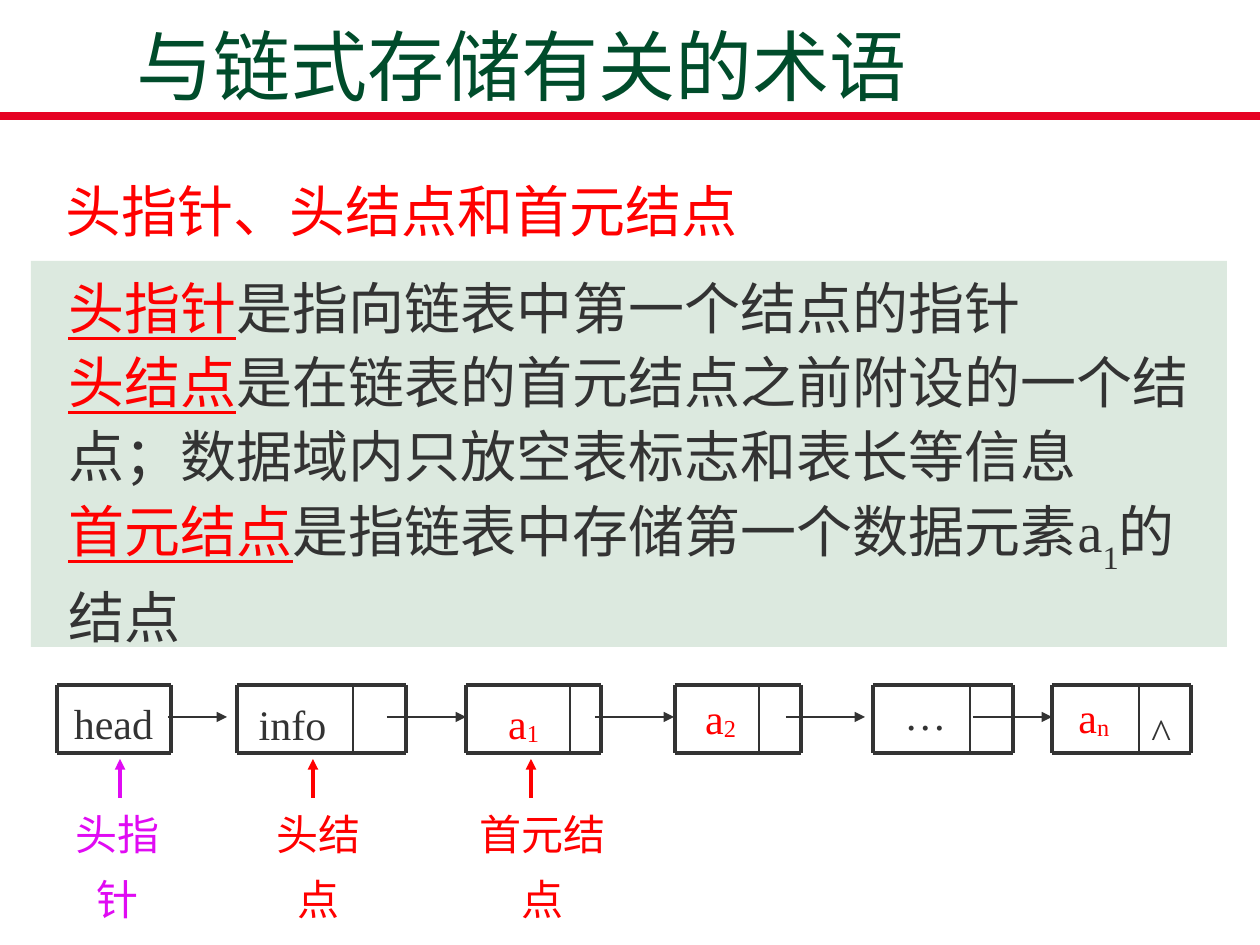
from lxml import etree
from pptx import Presentation
from pptx.dml.color import RGBColor
from pptx.enum.shapes import MSO_CONNECTOR, MSO_SHAPE
from pptx.enum.text import MSO_ANCHOR, PP_ALIGN
from pptx.oxml.ns import qn
from pptx.util import Pt

PX = 914400 / 126
WIDTH, HEIGHT = 1260, 945
FONT = "Times New Roman"
STRAIGHT, RECT = MSO_CONNECTOR.STRAIGHT, MSO_SHAPE.RECTANGLE
TOP, MIDDLE = MSO_ANCHOR.TOP, MSO_ANCHOR.MIDDLE
LEFT, CENTER = PP_ALIGN.LEFT, PP_ALIGN.CENTER
COLORS = {"title": "004C2B", "rule": "E60223", "key": "FF0000", "ink": "333333",
          "panel": "DCE9DF", "pointer": "E00BF3"}

TITLE = ("与链式存储有关的术语", (124, 9, 978, 111))
HEADING = ("头指针、头结点和首元结点", (53, 161, 1149, 78))
PANEL = (31, 261, 1196, 386)
DEFINITIONS = [
    [("头指针", "key"), ("是指向链表中第一个结点的指针", "ink")],
    [("头结点", "key"),
     ("是在链表的首元结点之前附设的一个结点；数据域内只放空表标志和表长等信息", "ink")],
    [("首元结点", "key"), ("是指链表中存储第一个数据元素a", "ink"),
     ("1", "ink", -30), ("的结点", "ink")],
]
NODE_TOP, NODE_BOTTOM, LINK_Y = 685, 753, 717
NODES = [(57, 171, None), (237, 406, 353), (466, 601, 570),
         (675, 801, 759), (873, 1013, 970), (1052, 1191, 1139)]
LINKS = [(168, 227), (387, 466), (595, 674), (786, 865), (973, 1052)]
NODE_TEXTS = [
    ([("head", "ink")], (56, 676, 115, 59), CENTER),
    ([("info", "ink")], (237, 677, 111, 68), CENTER),
    ([("a", "key"), ("1", "key", -8)], (471, 676, 105, 59), CENTER),
    ([("a", "key"), ("2", "key", -8)], (679, 671, 83, 67), CENTER),
    ([("…", "ink")], (877, 667, 97, 68), CENTER),
    ([("a", "key"), ("n", "key", -8)], (1061, 670, 66, 67), CENTER),
    ([("^", "ink")], (1139, 685, 60, 68), LEFT),
]
CALLOUT_TOP, CALLOUT_HEIGHT = 787, 74
MARK_FROM, MARK_TO = 798, 759
CALLOUTS = [("头指针", "pointer", 45, 145, 120),
            ("头结点", "key", 246, 145, 313),
            ("首元结点", "key", 450, 185, 531)]

presentation = Presentation()
presentation.slide_width = round(WIDTH * PX)
presentation.slide_height = round(HEIGHT * PX)
slide = presentation.slides.add_slide(presentation.slide_layouts[6])


def emu(lengths):
    return [round(length * PX) for length in lengths]


def rgb(name):
    return RGBColor.from_string(COLORS[name])


def add_line(ends, color, width, arrow=False):
    line = slide.shapes.add_connector(STRAIGHT, *emu(ends))
    line.line.color.rgb = rgb(color)
    line.line.width = Pt(width)
    if arrow:
        etree.SubElement(line.line._get_or_add_ln(), qn("a:tailEnd"), type="triangle")
    etree.SubElement(line._element.spPr, qn("a:effectLst"))


def write(shape, paragraphs, size, spacing=1.0, align=LEFT, anchor=TOP, indent=0, underline=None):
    frame = shape.text_frame
    frame.word_wrap = True
    frame.vertical_anchor = anchor
    for index, runs in enumerate(paragraphs):
        paragraph = frame.add_paragraph() if index else frame.paragraphs[0]
        for name, value in {"alignment": align, "line_spacing": spacing}.items():
            setattr(paragraph, name, value)
        if indent:
            properties = paragraph._p.get_or_add_pPr()
            properties.set("marL", str(round(indent * PX)))
            properties.set("indent", "0")
        for text, color, *baseline in runs:
            run = paragraph.add_run()
            run.text = text
            style = {"name": FONT, "size": Pt(size), "underline": color == underline}
            for name, value in style.items():
                setattr(run.font, name, value)
            run.font.color.rgb = rgb(color)
            if baseline:
                run.font._element.set("baseline", str(baseline[0] * 1000))


def add_text(runs, box, size, **layout):
    write(slide.shapes.add_textbox(*emu(box)), [runs], size, **layout)


add_line((0, 116, WIDTH, 116), "rule", 4.5)
title, title_box = TITLE
add_text([(title, "title")], title_box, 44, anchor=MIDDLE)
heading, heading_box = HEADING
add_text([(heading, "key")], heading_box, 32, spacing=1.3, anchor=MIDDLE)

panel = slide.shapes.add_shape(RECT, *emu(PANEL))
panel.shadow.inherit = False
panel.fill.solid()
panel.fill.fore_color.rgb = rgb("panel")
panel.line.fill.background()
write(panel, DEFINITIONS, 32, spacing=1.1, indent=25, underline="key")

for left, right, divider in NODES:
    for y in (NODE_TOP, NODE_BOTTOM):
        add_line((left, y, right, y), "ink", 2.25)
    for x in (left, right):
        add_line((x, NODE_TOP, x, NODE_BOTTOM), "ink", 2.25)
    if divider:
        add_line((divider, NODE_TOP, divider, NODE_BOTTOM), "ink", 1)

for start, end in LINKS:
    add_line((start, LINK_Y, end, LINK_Y), "ink", 0.75, arrow=True)

for runs, box, align in NODE_TEXTS:
    add_text(runs, box, 24, spacing=1.3, align=align)

for term, color, left, width, mark_x in CALLOUTS:
    add_line((mark_x, MARK_FROM, mark_x, MARK_TO), color, 2, arrow=True)
    add_text([(term, color)], (left, CALLOUT_TOP, width, CALLOUT_HEIGHT), 24,
             spacing=1.3, align=CENTER)

presentation.save("out.pptx")
